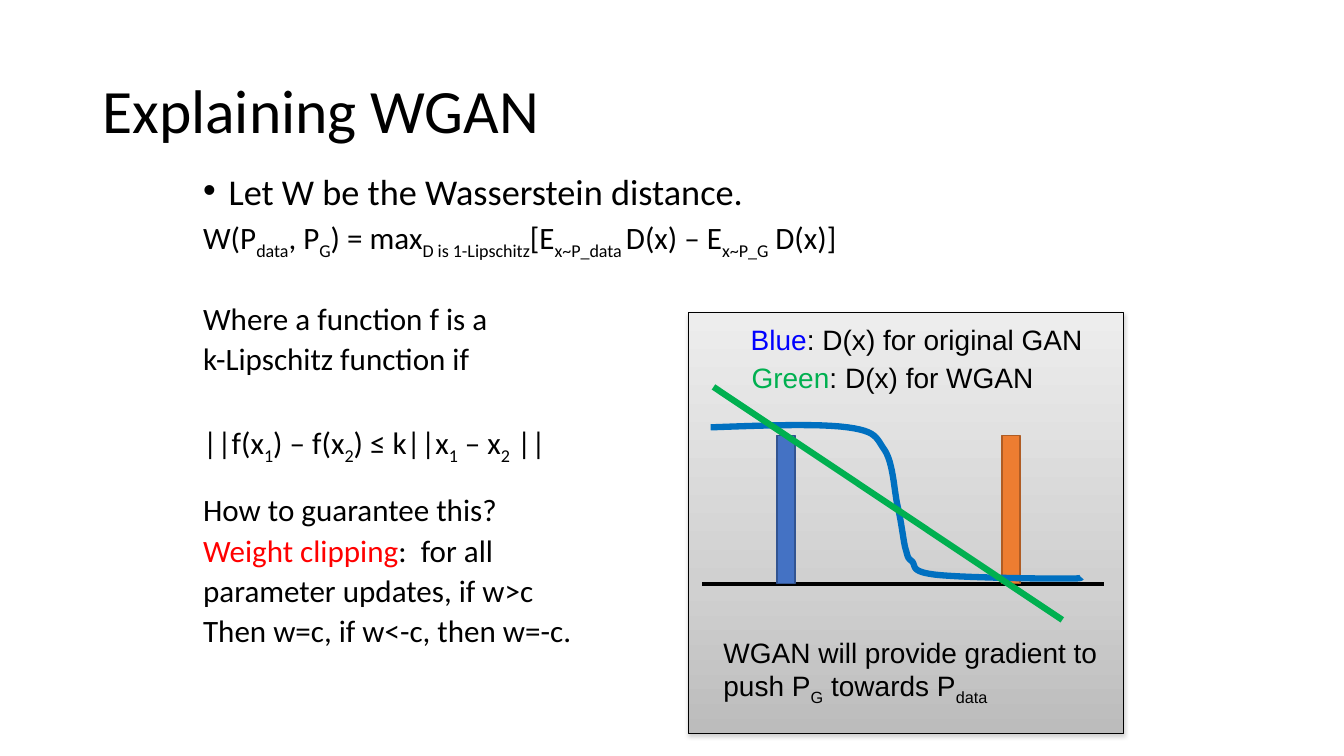
from lxml import etree
from pptx import Presentation
from pptx.dml.color import RGBColor
from pptx.enum.shapes import MSO_CONNECTOR, MSO_SHAPE
from pptx.enum.text import MSO_ANCHOR
from pptx.oxml import parse_xml
from pptx.oxml.ns import nsdecls, qn
from pptx.util import Cm, Pt

RECTANGLE = MSO_SHAPE.RECTANGLE
STRAIGHT = MSO_CONNECTOR.STRAIGHT
TOP, MIDDLE = MSO_ANCHOR.TOP, MSO_ANCHOR.MIDDLE

COLOURS = {
    "text": "000000", "red": "FF0000", "blue": "0000FF", "green": "00B050",
    "curve": "0070C0", "data bar": "4472C4", "data edge": "325491",
    "model bar": "ED7D31", "model edge": "AF5C24", "shadow": "808080",
    "panel top": "EDEDED", "panel middle": "D0D0D0", "panel bottom": "BCBCBC",
}
SUB = "subscript"
INDENT = Cm(0.64)


def colour(name):
    return RGBColor.from_string(COLOURS[name])


def bezier(start, segments, steps=12):
    """Return the points along a chain of cubic curves."""
    points = [start]
    for first, second, end in segments:
        for step in range(1, steps + 1):
            t = step / steps
            weights = ((1 - t) ** 3, 3 * t * (1 - t) ** 2, 3 * t * t * (1 - t), t ** 3)
            corners = (start, first, second, end)
            points.append(tuple(sum(w * c[axis] for w, c in zip(weights, corners))
                                for axis in (0, 1)))
        start = end
    return points


class SlideBuilder:
    def __init__(self, page):
        self.shapes = page.shapes

    def text(self, left, top, width, height, paragraphs, font="Arial", size=20,
             anchor=TOP, spacing=1.0):
        """Each paragraph is a list of runs: a string, or (string, style)."""
        box = self.shapes.add_textbox(Cm(left), Cm(top), Cm(width), Cm(height))
        frame = box.text_frame
        frame.word_wrap = True
        frame.vertical_anchor = anchor
        for number, runs in enumerate(paragraphs):
            para = frame.add_paragraph() if number else frame.paragraphs[0]
            para.line_spacing = spacing
            for run in runs:
                words, style = (run, "text") if isinstance(run, str) else run
                span = para.add_run()
                span.text = words
                span.font.name, span.font.size = font, Pt(size)
                span.font.color.rgb = colour("text" if style == SUB else style)
                if style == SUB:
                    span._r.get_or_add_rPr().set("baseline", "-25000")
        return frame

    def bullet(self, para):
        properties = para._p.get_or_add_pPr()
        properties.set("marL", str(INDENT))
        properties.set("indent", str(-INDENT))
        etree.SubElement(properties, qn("a:buFont")).set("typeface", "Arial")
        etree.SubElement(properties, qn("a:buChar")).set("char", "•")

    def rectangle(self, left, top, width, height, fill, edge, weight):
        box = self.shapes.add_shape(RECTANGLE, Cm(left), Cm(top), Cm(width), Cm(height))
        box.shadow.inherit = False
        box.fill.solid()
        box.fill.fore_color.rgb = colour(fill)
        box.line.color.rgb = colour(edge)
        box.line.width = Pt(weight)
        return box

    def panel(self, left, top, width, height, stops):
        box = self.rectangle(left, top, width, height, stops[0][1], "text", 0.75)
        properties = box._element.spPr
        stop_xml = "".join(f'<a:gs pos="{place * 1000}"><a:srgbClr val="{COLOURS[name]}"/></a:gs>'
                           for place, name in stops)
        properties.replace(properties.find(qn("a:solidFill")), parse_xml(
            f'<a:gradFill {nsdecls("a")} rotWithShape="1"><a:gsLst>{stop_xml}</a:gsLst>'
            '<a:lin ang="5400000" scaled="0"/></a:gradFill>'))
        properties.find(qn("a:effectLst")).append(parse_xml(
            f'<a:outerShdw {nsdecls("a")} blurRad="{Pt(3.1)}" dist="{Pt(1.6)}" dir="5400000" '
            f'rotWithShape="0"><a:srgbClr val="{COLOURS["shadow"]}">'
            '<a:alpha val="38000"/></a:srgbClr></a:outerShdw>'))

    def line(self, start, end, name, weight):
        connector = self.shapes.add_connector(STRAIGHT, *map(Cm, start + end))
        connector.line.color.rgb = colour(name)
        connector.line.width = Pt(weight)
        etree.SubElement(connector._element.spPr, qn("a:effectLst"))

    def curve(self, points, name, weight):
        points = [(Cm(x), Cm(y)) for x, y in points]
        builder = self.shapes.build_freeform(*points[0])
        builder.add_line_segments(points[1:], close=False)
        outline = builder.convert_to_shape()
        outline.shadow.inherit = False
        outline.fill.background()
        outline.line.color.rgb = colour(name)
        outline.line.width = Pt(weight)


def main():
    deck = Presentation()
    deck.slide_width, deck.slide_height = Cm(33.87), Cm(19.05)
    slide = SlideBuilder(deck.slides.add_slide(deck.slide_layouts[6]))

    # Title
    slide.text(2.33, 1.01, 29.21, 3.68, [["Explaining WGAN"]], "Calibri", 44, MIDDLE, 0.9)

    # Definition and weight clipping
    body = slide.text(4.87, 4.44, 24.33, 12.57, [
        ["Let W be the Wasserstein distance."],
        ["W(P", ("data", SUB), ", P", ("G", SUB), ") = max", ("D is 1-Lipschitz", SUB),
         "[E", ("x~P_data ", SUB), "D(x) – E", ("x~P_G", SUB), " D(x)]"],
        ["Where a function f is a"],
        ["k-Lipschitz function if"],
        ["||f(x", ("1", SUB), ") – f(x", ("2", SUB), ") ≤ k||x", ("1", SUB),
         " – x", ("2", SUB), " ||"],
        ["How to guarantee this?"],
        [("Weight clipping", "red"), ":  for all"],
        ["parameter updates, if w>c"],
        ["Then w=c, if w<-c, then w=-c."],
    ], "Calibri", 22.2, spacing=0.7)
    wide_gaps = {2: 39, 4: 39, 5: 29}
    for number, para in enumerate(body.paragraphs):
        para.space_before = Pt(wide_gaps.get(number, 10))
    heading = body.paragraphs[0]
    heading.runs[0].font.size = Pt(25.9)
    slide.bullet(heading)

    # Diagram panel, axis and the two distributions
    slide.panel(17.34, 7.87, 10.98, 10.62,
                [(0, "panel top"), (65, "panel middle"), (100, "panel bottom")])
    slide.line((17.7, 14.71), (27.81, 14.71), "text", 3)
    for left, kind in ((19.58, "data"), (25.25, "model")):
        slide.rectangle(left, 10.97, 0.46, 3.73, f"{kind} bar", f"{kind} edge", 1)

    # Discriminators: sigmoid curve and straight line
    slide.curve(bezier((17.91, 10.77), [
        ((19.28, 10.72), (20.62, 10.67), (21.36, 10.77)),
        ((22.1, 10.87), (22.07, 11.02), (22.3, 11.35)),
        ((22.5, 11.66), (22.53, 12.29), (22.61, 12.7)),
        ((22.71, 13.11), (22.76, 13.56), (22.81, 13.79)),
        ((22.89, 14.05), (22.86, 14.05), (22.99, 14.15)),
        ((23.09, 14.27), (22.94, 14.4), (23.55, 14.48)),
        ((24.13, 14.55), (25.96, 14.58), (26.57, 14.58)),
        ((27.18, 14.58), (27.23, 14.58), (27.25, 14.55)),
    ]), "curve", 4.5)
    slide.line((17.98, 9.75), (26.77, 15.62), "green", 4.5)

    # Conclusion and legend
    slide.text(17.98, 15.88, 10.34, 1.96, [
        ["WGAN will provide gradient to push P", ("G", SUB), " towards P", ("data", SUB)]])
    slide.text(18.67, 8, 9.83, 1.12, [[("Blue", "blue"), ": D(x) for original GAN"]])
    slide.text(18.69, 8.97, 9.83, 1.12, [[("Green", "green"), ": D(x) for WGAN"]])

    deck.save("out.pptx")


if __name__ == "__main__":
    main()
